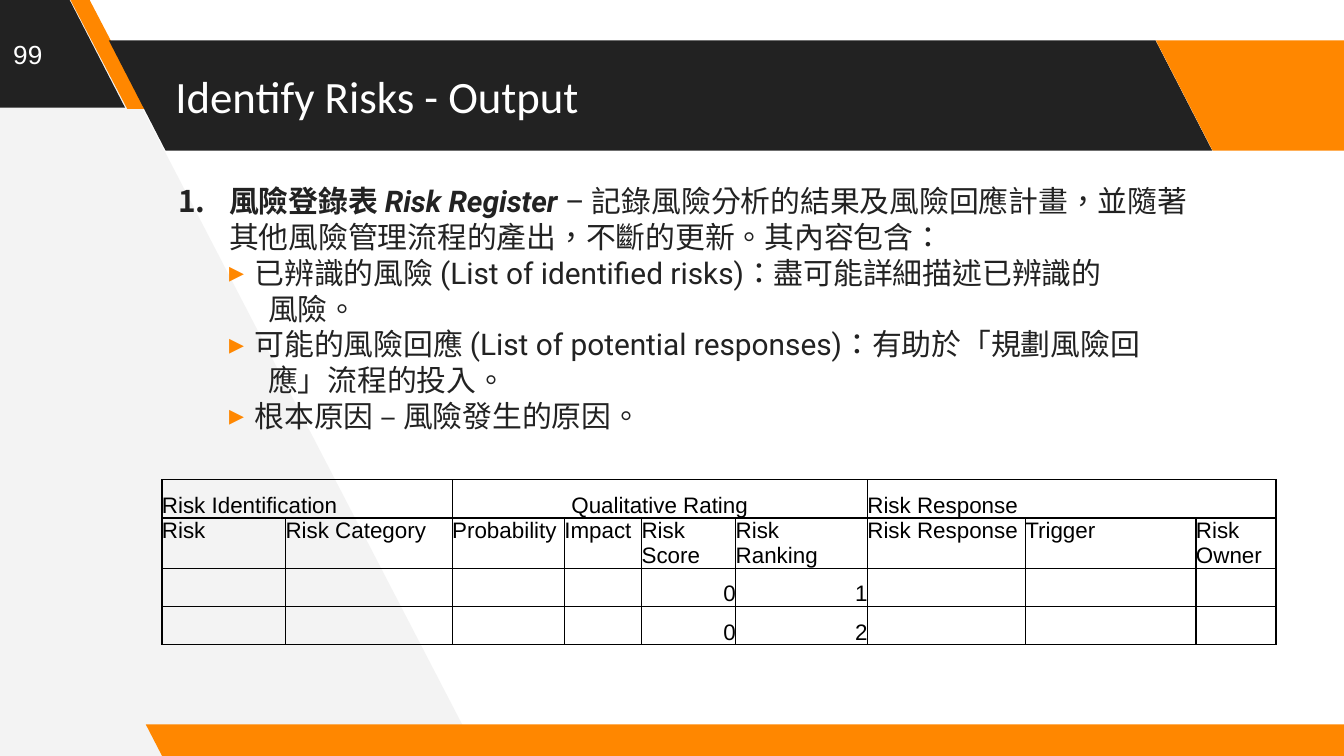
"""Build the risk register slide of the Identify Risks section."""
import lxml.etree
import pptx
import pptx.dml.color
import pptx.enum.lang
import pptx.enum.shapes
import pptx.enum.text
import pptx.oxml.ns
import pptx.util

RGB = pptx.dml.color.RGBColor
ALIGN = pptx.enum.text.PP_ALIGN
ANCHOR = pptx.enum.text.MSO_ANCHOR
TONGUE = pptx.enum.lang.MSO_LANGUAGE_ID.TRADITIONAL_CHINESE
DARK = RGB(0x22, 0x22, 0x22)
ORANGE = RGB(0xFF, 0x87, 0x00)
PALE = RGB(0xF3, 0xF3, 0xF3)
WHITE = RGB(0xFF, 0xFF, 0xFF)
BLACK = RGB(0, 0, 0)
SCALE = 4572
INSET = 20


def px(num):
    return pptx.util.Emu(num * SCALE)


def node(root, tag, **attrs):
    return lxml.etree.SubElement(root, pptx.oxml.ns.qn(tag), attrs)


class Deck:
    def __init__(self, wide, high):
        self.file = pptx.Presentation()
        self.file.slide_width, self.file.slide_height = px(wide), px(high)
        self.slide = self.file.slides.add_slide(self.file.slide_layouts[1])
        self.shapes = self.slide.shapes

    def paint(self, shape, color):
        shape.shadow.inherit = False
        shape.fill.solid()
        shape.fill.fore_color.rgb = color
        shape.line.fill.background()

    def wedge(self, points, color):
        form = self.shapes.build_freeform(*points[0], scale=SCALE)
        form.add_line_segments(points[1:], close=True)
        self.paint(form.convert_to_shape(), color)

    def slant(self, area, color, skew=0.515):
        kind = pptx.enum.shapes.MSO_SHAPE.PARALLELOGRAM
        shape = self.shapes.add_shape(kind, *map(px, area))
        shape.adjustments[0] = skew
        shape._element.spPr.xfrm.set("flipH", "1")
        self.paint(shape, color)

    def font(self, run, name, size, color, bold=False, slope=False):
        font = run.font
        font.name, font.size = name, pptx.util.Pt(size)
        font.bold, font.italic = bold, slope
        font.color.rgb = color

    def frame(self, box, area, anchor):
        box.left, box.top, box.width, box.height = map(px, area)
        self.shapes._spTree.append(box._element)
        text = box.text_frame
        text.word_wrap = True
        text.auto_size = pptx.enum.text.MSO_AUTO_SIZE.NONE
        text.vertical_anchor = anchor
        text.margin_left = text.margin_right = px(INSET)
        text.margin_top = text.margin_bottom = px(INSET)
        return text

    def label(self, box, area, text, name, size):
        frame = self.frame(box, area, ANCHOR.MIDDLE)
        frame.text = text
        para = frame.paragraphs[0]
        para.alignment = ALIGN.LEFT
        self.font(para.runs[0], name, size, WHITE)

    def title(self, area, text):
        self.label(self.shapes.title, area, text, "Calibri", 24)

    def note(self, area, text):
        box = self.shapes.add_textbox(*map(px, area))
        self.label(box, area, text, "Arial", 14)

    def indent(self, para, left, hang):
        props = para._p.get_or_add_pPr()
        props.set("marL", str(px(left)))
        props.set("indent", str(px(-hang)))
        para.space_before = pptx.util.Pt(0)
        para.alignment = ALIGN.LEFT
        return props

    def prose(self, run, bold=False, slope=False):
        self.font(run, "Roboto", 16, DARK, bold, slope)
        run.font.language_id = TONGUE

    def body(self, area, lead, items):
        frame = self.frame(self.slide.placeholders[1], area, ANCHOR.TOP)
        para = frame.paragraphs[0]
        props = self.indent(para, 80, 76)
        node(props, "a:buFont", typeface="+mj-lt")
        node(props, "a:buAutoNum", type="arabicPeriod")
        for text, bold, slope in lead:
            run = para.add_run()
            run.text = text
            self.prose(run, bold, slope)
        for item in items:
            para = frame.add_paragraph()
            props = self.indent(para, 118, 38)
            node(node(props, "a:buClr"), "a:srgbClr", val=str(ORANGE))
            node(props, "a:buChar", char="▸")
            para.text = item
            for run in para.runs:
                self.prose(run)

    def cell(self, cell, text, align, anchor):
        cell.margin_left = cell.margin_right = 0
        cell.margin_top = cell.margin_bottom = 0
        cell.vertical_anchor = anchor
        props = cell._tc.get_or_add_tcPr()
        for side in "LRTB":
            line = node(props, "a:ln" + side, w=str(pptx.util.Pt(0.75)))
            node(node(line, "a:solidFill"), "a:srgbClr", val=str(BLACK))
        cell.fill.background()
        para = cell.text_frame.paragraphs[0]
        para.text = text
        para.alignment = align
        for run in para.runs:
            self.font(run, "Arial", 12, BLACK)
        if not text:
            node(para._p, "a:endParaRPr", sz="1200")

    def table(self, area, cols, rows, spans, aligns):
        shape = self.shapes.add_table(len(rows), len(cols), *map(px, area))
        table = shape.table
        table.first_row = table.horz_banding = False
        for col, wide in zip(table.columns, cols):
            col.width = px(wide)
        for at, row in enumerate(rows):
            table.rows[at].height = px(area[3] // len(rows))
            anchor = ANCHOR.TOP if at == 1 else ANCHOR.BOTTOM
            for pos, text in enumerate(row):
                align = aligns.get((at, text), ALIGN.LEFT)
                self.cell(table.cell(at, pos), text, align, anchor)
        for first, last in spans:
            table.cell(0, first).merge(table.cell(0, last))


def main():
    deck = Deck(2000, 1125)
    deck.wedge([(712, 1125), (124, -8), (-12, -8), (-4, 1132)], PALE)
    deck.slant((-198, -4, 384, 164), DARK)
    deck.slant((104, -2, 114, 164), ORANGE, 0.75)
    deck.slant((162, 60, 1642, 164), DARK)
    deck.slant((1720, 60, 384, 164), ORANGE)
    deck.slant((217, 1078, 1830, 50), ORANGE)
    deck.title((241, 60, 1656, 164), "Identify Risks - Output")
    lead = [
        ("風險登錄表 ", True, False),
        ("Risk Register ", True, True),
        ("– 記錄風險分析的結果及風險回應計畫，並隨著其他風險管理流程的產出，"
         "不斷的更新。其內容包含：", False, False),
    ]
    items = [
        "已辨識的風險 (List of identified risks)：盡可能詳細描述已辨識的\n  風險。",
        "可能的風險回應 (List of potential responses)：有助於「規劃風險回\n  應」流程的投入。",
        "根本原因 – 風險發生的原因。",
    ]
    deck.body((241, 252, 1560, 812), lead, items)
    deck.note((0, 0, 130, 160), "99")
    rows = [
        ["Risk Identification", "", "Qualitative Rating", "", "", "",
         "Risk Response", "", ""],
        ["Risk", "Risk Category", "Probability", "Impact", "Risk Score",
         "Risk Ranking", "Risk Response", "Trigger", "Risk Owner"],
    ]
    rows += [[""] * 4 + ["0", rank] + [""] * 3 for rank in "12"]
    aligns = {(0, "Qualitative Rating"): ALIGN.CENTER}
    aligns |= {(at, text): ALIGN.RIGHT for at in (2, 3) for text in "012"}
    cols = [184, 248, 167, 115, 140, 196, 235, 254, 119]
    spans = [(0, 1), (2, 5), (6, 8)]
    deck.table((241, 714, sum(cols), 228), cols, rows, spans, aligns)
    deck.file.save("out.pptx")


if __name__ == "__main__":
    main()
